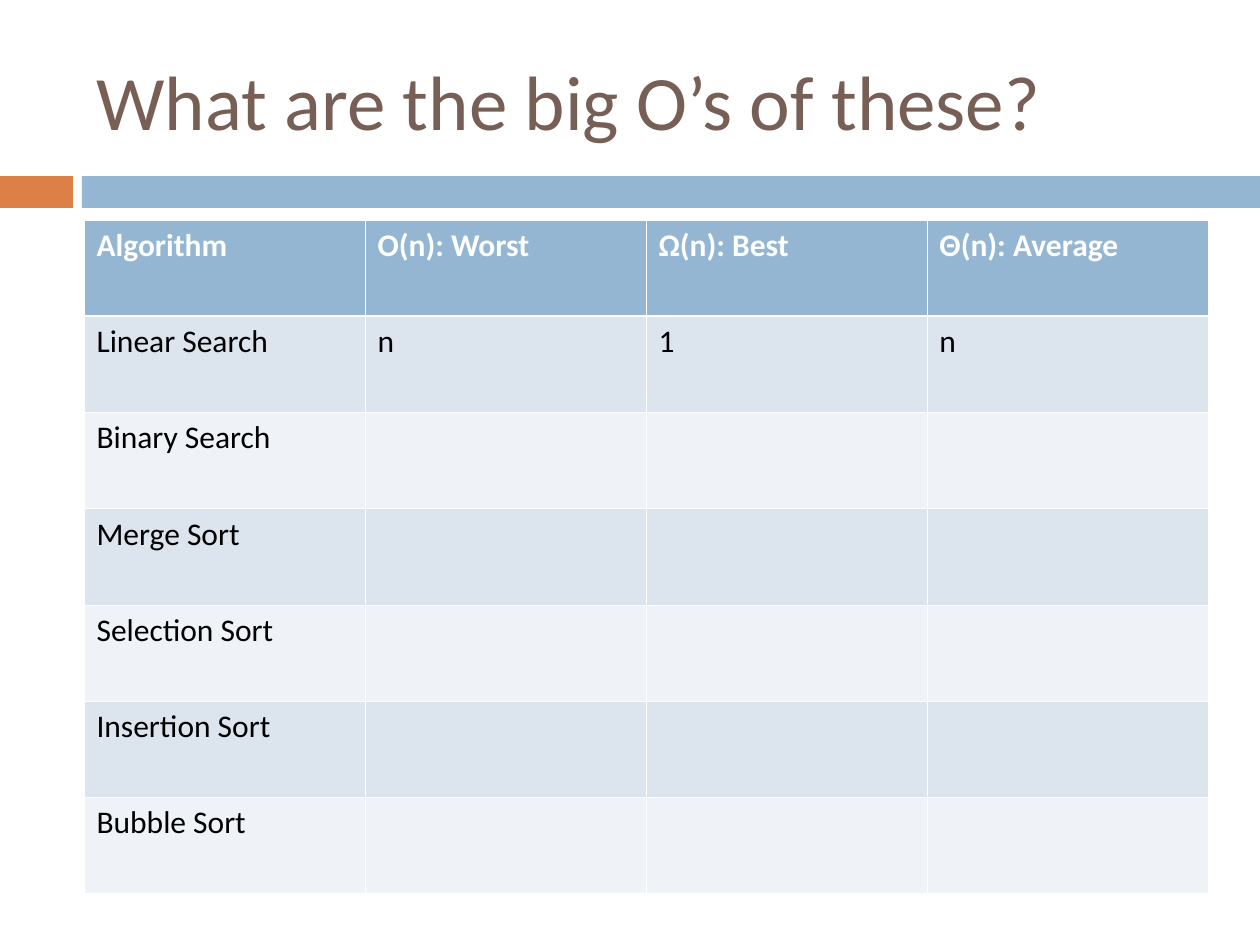
import lxml.etree
import pptx
import pptx.dml.color
import pptx.enum.shapes
import pptx.enum.text
import pptx.oxml.ns
import pptx.util

SCALE = 914400 / 126
COLORS = {
    "title": "775F55",
    "accent": "DD8047",
    "header": "94B6D2",
    "odd": "DCE5EE",
    "even": "EFF3F7",
    "white": "FFFFFF",
    "black": "000000",
}
ROWS = [
    ["Algorithm", "O(n): Worst", "Ω(n): Best", "Θ(n): Average"],
    ["Linear Search", "n", "1", "n"],
    ["Binary Search"],
    ["Merge Sort"],
    ["Selection Sort"],
    ["Insertion Sort"],
    ["Bubble Sort"],
]
TITLE_FORMAT = {"name": "Calibri", "size": pptx.util.Pt(44), "bold": False}
HEADER_FORMAT = {"name": "Calibri", "size": pptx.util.Pt(18), "bold": True}
BODY_FORMAT = {**HEADER_FORMAT, "bold": False}


def px(length):
    return pptx.util.Emu(round(length * SCALE))


def rgb(name):
    return pptx.dml.color.RGBColor.from_string(COLORS[name])


def fill_solid(target, color):
    target.fill.solid()
    target.fill.fore_color.rgb = rgb(color)


def write(para, text, values, color):
    span = para.add_run()
    span.text = text
    for key, value in values.items():
        setattr(span.font, key, value)
    span.font.color.rgb = rgb(color)


def add_title(page, left, top, width, height):
    box = page.shapes.add_textbox(px(left), px(top), px(width), px(height))
    frame = box.text_frame
    frame.word_wrap = True
    frame.vertical_anchor = pptx.enum.text.MSO_ANCHOR.MIDDLE
    write(frame.paragraphs[0], "What are the big O’s of these?", TITLE_FORMAT, "title")


def add_band(page, left, top, width, height):
    accent_width, gap = 73, 9
    bar_left = accent_width + gap
    parts = [(0, accent_width, "accent"), (bar_left, width - bar_left, "header")]
    for offset, part_width, color in parts:
        bar = page.shapes.add_shape(
            pptx.enum.shapes.MSO_SHAPE.RECTANGLE,
            px(left + offset), px(top), px(part_width), px(height))
        bar.shadow.inherit = False
        fill_solid(bar, color)
        bar.line.fill.background()


def add_borders(cell, top_width, bottom_width):
    properties = cell._tc.get_or_add_tcPr()
    qn = pptx.oxml.ns.qn
    widths = {"lnL": 0.45, "lnR": 0.45, "lnT": top_width, "lnB": bottom_width}
    for side, width in widths.items():
        line = lxml.etree.SubElement(
            properties, qn(f"a:{side}"), w=str(pptx.util.Pt(width)))
        solid = lxml.etree.SubElement(line, qn("a:solidFill"))
        lxml.etree.SubElement(solid, qn("a:srgbClr"), val=COLORS["white"])


def add_algorithm_table(page, left, top, width, height):
    table = page.shapes.add_table(
        len(ROWS), len(ROWS[0]), px(left), px(top), px(width), px(height)).table
    for column in table.columns:
        column.width = px(width / len(ROWS[0]))
    for index, (row, texts) in enumerate(zip(table.rows, ROWS)):
        row.height = px(height / len(ROWS))
        is_header = index == 0
        color = "header" if is_header else ("odd" if index % 2 else "even")
        values = HEADER_FORMAT if is_header else BODY_FORMAT
        for column, cell in enumerate(row.cells):
            add_borders(cell, 1.47 if index == 1 else 0.45, 1.47 if is_header else 0.45)
            fill_solid(cell, color)
            if column < len(texts):
                write(cell.text_frame.paragraphs[0], texts[column], values,
                      "white" if is_header else "black")


def main():
    deck = pptx.Presentation()
    deck.slide_width, deck.slide_height = px(1260), px(945)
    page = deck.slides.add_slide(deck.slide_layouts[6])
    add_band(page, 0, 176, 1260, 32)
    add_title(page, 84, 31, 1124, 137)
    add_algorithm_table(page, 84, 220, 1124, 674)
    deck.save("out.pptx")


if __name__ == "__main__":
    main()
